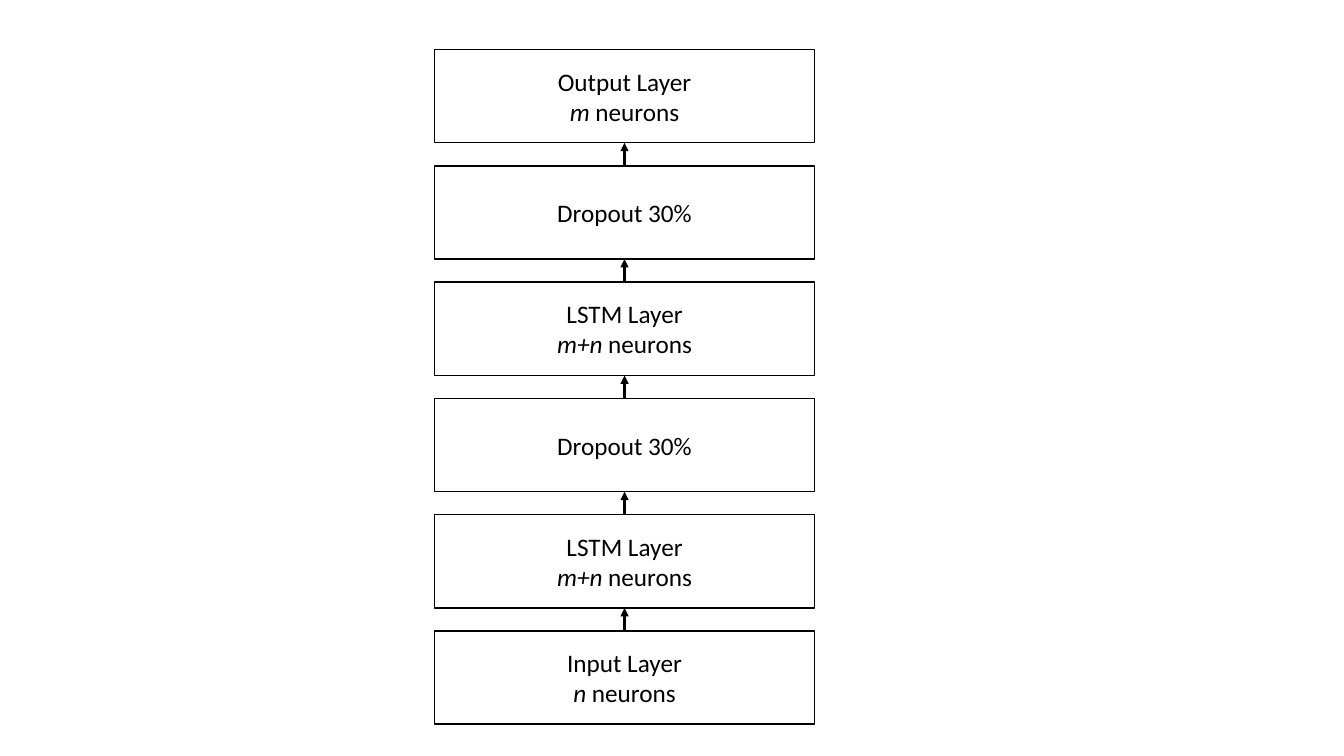
"""Builds a slide with a stacked LSTM network, input at the bottom."""
import itertools
from typing import NamedTuple

import lxml.etree
import pptx
import pptx.dml.color
import pptx.enum.shapes
import pptx.enum.text
import pptx.oxml.ns
import pptx.shapes.autoshape
import pptx.slide
import pptx.util

Cm = pptx.util.Cm
Pt = pptx.util.Pt
qualified = pptx.oxml.ns.qn

BLACK = pptx.dml.color.RGBColor(0x00, 0x00, 0x00)
FONT_NAME = "Calibri"
FONT_SIZE = Pt(18)

BOX_LEFT, BOX_WIDTH, BOX_HEIGHT = Cm(10.95), Cm(9.58), Cm(2.35)
FIRST_TOP, PITCH = Cm(1.25), Cm(2.93)
TOP_SITE, BOTTOM_SITE = 0, 2


class Layer(NamedTuple):
    """A network layer with its title and, if it has any, its neuron count."""
    title: str
    neurons: str = ""


LAYERS = [
    Layer("Output Layer", "m"),
    Layer("Dropout 30%"),
    Layer("LSTM Layer", "m+n"),
    Layer("Dropout 30%"),
    Layer("LSTM Layer", "m+n"),
    Layer("Input Layer", "n"),
]


def add_run(paragraph, text: str, italic: bool = False) -> None:
    """Add one run in the slide's font and centre its paragraph."""
    paragraph.alignment = pptx.enum.text.PP_ALIGN.CENTER
    run = paragraph.add_run()
    run.text = text
    run.font.name = FONT_NAME
    run.font.size = FONT_SIZE
    run.font.italic = italic
    run.font.color.rgb = BLACK


def add_layer(slide: pptx.slide.Slide, layer: Layer,
              top: int) -> pptx.shapes.autoshape.Shape:
    """Draw the outlined box of one layer."""
    shape = slide.shapes.add_shape(
        pptx.enum.shapes.MSO_SHAPE.RECTANGLE,
        BOX_LEFT, top, BOX_WIDTH, BOX_HEIGHT)
    shape.shadow.inherit = False
    shape.fill.background()
    shape.line.color.rgb = BLACK
    shape.line.width = Pt(1)

    text_frame = shape.text_frame
    text_frame.word_wrap = True
    text_frame.vertical_anchor = pptx.enum.text.MSO_ANCHOR.MIDDLE
    add_run(text_frame.paragraphs[0], layer.title)
    if layer.neurons:
        paragraph = text_frame.add_paragraph()
        add_run(paragraph, layer.neurons, italic=True)
        add_run(paragraph, " neurons")
    return shape


def add_arrow(slide: pptx.slide.Slide,
              lower: pptx.shapes.autoshape.Shape,
              upper: pptx.shapes.autoshape.Shape) -> None:
    """Connect the top of the lower box to the bottom of the upper box."""
    connector = slide.shapes.add_connector(
        pptx.enum.shapes.MSO_CONNECTOR.STRAIGHT, 0, 0, 0, 0)
    connector.begin_connect(lower, TOP_SITE)
    connector.end_connect(upper, BOTTOM_SITE)
    connector.line.color.rgb = BLACK
    connector.line.width = Pt(1.5)

    properties = connector.element.spPr
    line = properties.find(qualified("a:ln"))
    lxml.etree.SubElement(line, qualified("a:tailEnd"), type="triangle")
    lxml.etree.SubElement(properties, qualified("a:effectLst"))


def main() -> None:
    """Build and save the presentation."""
    presentation = pptx.Presentation()
    presentation.slide_width = Cm(33.87)
    presentation.slide_height = Cm(19.05)
    slide = presentation.slides.add_slide(presentation.slide_layouts[6])

    boxes = [add_layer(slide, layer, FIRST_TOP + index * PITCH)
             for index, layer in enumerate(LAYERS)]
    for upper, lower in itertools.pairwise(boxes):
        add_arrow(slide, lower, upper)

    presentation.save("out.pptx")


main()
